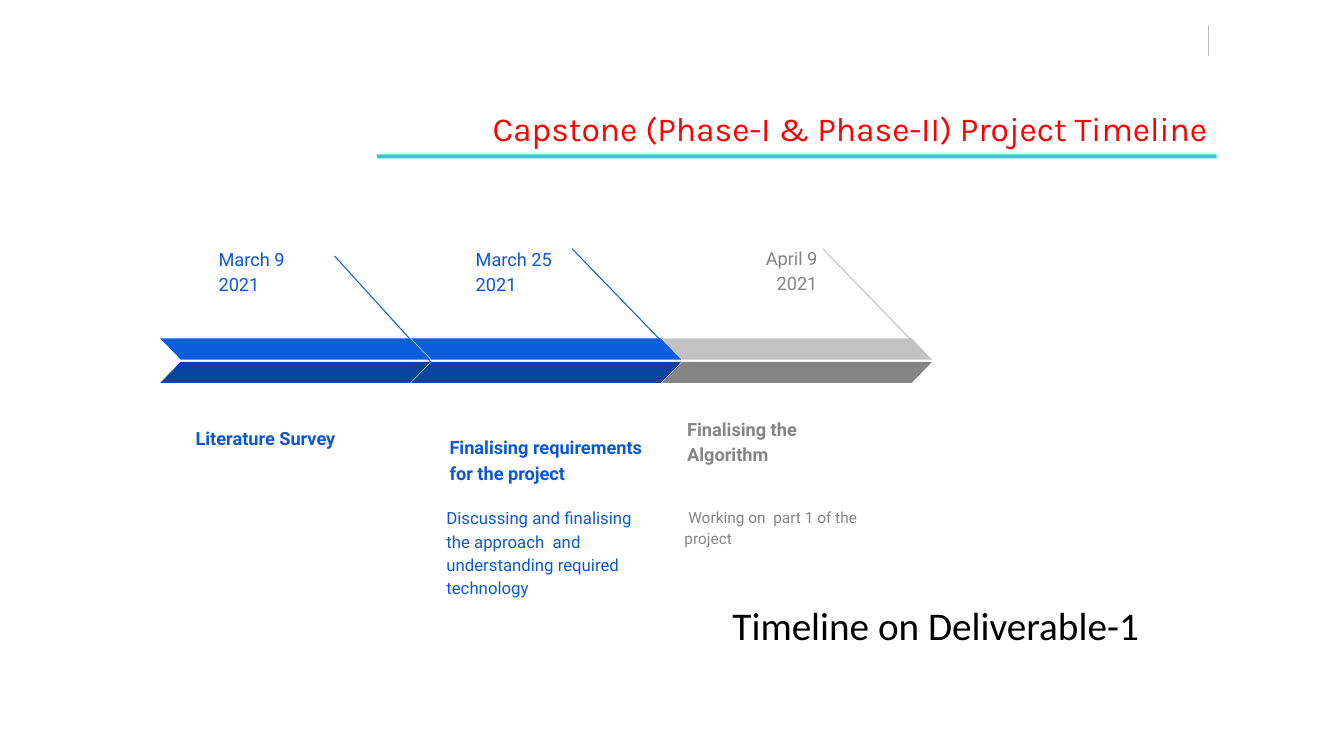
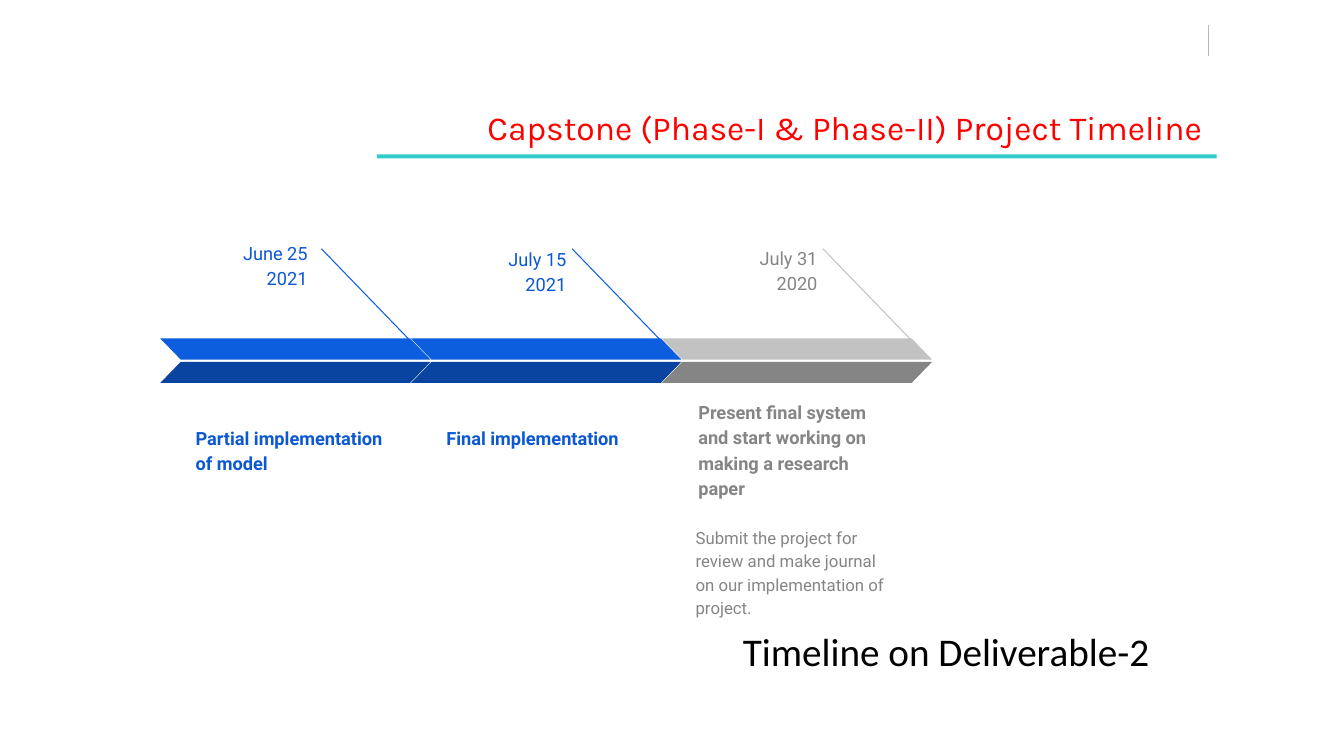
"""Build two capstone timeline slides with three milestones each."""
from dataclasses import dataclass

from pptx import Presentation
from pptx.dml.color import RGBColor
from pptx.enum.shapes import MSO_CONNECTOR as Connector, MSO_SHAPE as Shape
from pptx.enum.text import MSO_ANCHOR as Anchor, PP_ALIGN as Align
from pptx.oxml.ns import qn
from pptx.oxml.xmlchemy import OxmlElement
from pptx.util import Cm, Pt

COLORS = {
    "title": "FF0000",
    "rule": "33CCCC",
    "tick": "B7B7B7",
    "caption": "000000",
}
BLUE = {"text": "0C58D3", "upper": "0D5DDF", "lower": "0944A1"}
GREY = {"text": "858585", "upper": "C2C2C2", "lower": "858585"}
PALETTES = (BLUE, BLUE, GREY)

ARROW_LEFT, ARROW_STEP = 4.04, 6.32
ARROW_WIDTH, BAND_HEIGHT = 6.81, 0.53
UPPER_TOP, LOWER_TOP = 8.53, 9.12
HEADING_WIDTH = 5.56
DETAIL_SIZE = (5.72, 2.74)
TITLE = "Capstone (Phase-I & Phase-II) Project Timeline"


@dataclass
class Milestone:
    date: str
    date_box: tuple
    heading: str
    heading_place: tuple
    date_align: Align = Align.RIGHT
    detail: str = ""
    detail_place: tuple = (0, 0)
    detail_points: int = 12
    callout: tuple = (4.06, 6.27, 6.72, 9.02)


class Deck:
    def __init__(self):
        self.presentation = Presentation()
        self.presentation.slide_width = Cm(33.87)
        self.presentation.slide_height = Cm(19.05)
        self.slide = None

    def new_slide(self):
        layout = self.presentation.slide_layouts[6]
        self.slide = self.presentation.slides.add_slide(layout)
        self.line(30.45, 0.64, 30.45, 1.4, COLORS["tick"])

    def text(self, box, text, font, points, color, bold=False, align=Align.LEFT,
             anchor=Anchor.TOP, spacing=None, insets=(0.33, 0.33)):
        shape = self.slide.shapes.add_textbox(*map(Cm, box))
        frame = shape.text_frame
        frame.word_wrap = True
        frame.vertical_anchor = anchor
        frame.margin_left = frame.margin_right = Cm(insets[0])
        frame.margin_top = frame.margin_bottom = Cm(insets[1])
        frame.text = text
        paragraph = frame.paragraphs[0]
        paragraph.alignment = align
        paragraph.line_spacing = spacing
        run_font = paragraph.runs[0].font
        run_font.name = font
        run_font.size = Pt(points)
        run_font.bold = bold
        run_font.color.rgb = RGBColor.from_string(color)

    def label(self, box, text, points, color, **style):
        self.text(box, text, "Roboto", points, color, spacing=1.15, **style)

    def line(self, left, top, right, bottom, color):
        connector = self.slide.shapes.add_connector(
            Connector.STRAIGHT, Cm(left), Cm(top), Cm(right), Cm(bottom))
        connector.line.color.rgb = RGBColor.from_string(color)
        connector.line.width = Pt(0.75)
        connector._element.spPr.append(OxmlElement("a:effectLst"))

    def shape(self, kind, box, color):
        shape = self.slide.shapes.add_shape(kind, *map(Cm, box))
        shape.shadow.inherit = False
        shape.fill.solid()
        shape.fill.fore_color.rgb = RGBColor.from_string(color)
        shape.line.fill.background()
        return shape

    def arrow(self, left, palette):
        for top, part in ((UPPER_TOP, "upper"), (LOWER_TOP, "lower")):
            band = self.shape(Shape.PARALLELOGRAM,
                              (left, top, ARROW_WIDTH, BAND_HEIGHT), palette[part])
            band.adjustments[0] = 0.97
            if part == "upper":
                band._element.spPr.find(qn("a:xfrm")).set("flipH", "1")

    def milestone(self, index, item):
        left, palette = ARROW_LEFT + index * ARROW_STEP, PALETTES[index]
        color = palette["text"]
        self.label(item.date_box, item.date, 13, color, align=item.date_align)
        start, top, end, bottom = item.callout
        self.line(left + start, top, left + end, bottom, palette["upper"])
        self.arrow(left, palette)
        heading_left, heading_top, height = item.heading_place
        self.label((heading_left, heading_top, HEADING_WIDTH, height), item.heading,
                   13, color, bold=True, anchor=Anchor.BOTTOM)
        if item.detail:
            self.label(item.detail_place + DETAIL_SIZE, item.detail,
                       item.detail_points, color)

    def timeline(self, title_box, caption, caption_box, milestones):
        self.new_slide()
        for index, item in enumerate(milestones):
            self.milestone(index, item)
        self.text(title_box, TITLE, "Karla", 24, COLORS["title"], align=Align.RIGHT,
                  anchor=Anchor.MIDDLE, insets=(0.25, 0.13))
        self.text(caption_box, caption, "Calibri", 28, COLORS["caption"],
                  spacing=0.9, insets=(0.25, 0.13))
        self.shape(Shape.RECTANGLE, (9.5, 3.89, 21.16, 0.1), COLORS["rule"])


def main():
    deck = Deck()
    deck.timeline(
        (9.7, 2.37, 20.98, 1.7),
        "Timeline on Deliverable-1", (18.21, 15.16, 13.26, 1.93),
        [
            Milestone("March 9 2021", (5.18, 5.84, 3.25, 1.24),
                      "Literature Survey", (4.6, 9.98, 1.65),
                      date_align=Align.LEFT, callout=(4.39, 6.45, 6.88, 9.19)),
            Milestone("March 25 2021", (11.66, 5.84, 2.97, 1.65),
                      "Finalising requirements for the project", (11, 10.87, 1.65),
                      date_align=Align.LEFT,
                      detail="Discussing and finalising the approach  and "
                             "understanding required technology",
                      detail_place=(10.92, 12.4)),
            Milestone("April 9 2021", (18.62, 5.82, 2.31, 0.89),
                      "Finalising the Algorithm", (16.99, 9.32, 2.74),
                      detail=" Working on  part 1 of the project",
                      detail_place=(16.92, 12.4), detail_points=11),
        ])
    deck.timeline(
        (5.28, 2.34, 25.27, 1.7),
        "Timeline on Deliverable-2", (18.47, 15.82, 12.6, 1.5),
        [
            Milestone("June 25 2021", (5.44, 5.69, 2.64, 0.89),
                      "Partial implementation of model", (4.6, 9.98, 2.29)),
            Milestone("July 15 2021", (12.29, 5.84, 2.31, 0.89),
                      "Final implementation", (10.92, 9.98, 1.65)),
            Milestone("July 31 2020", (18.62, 5.82, 2.31, 0.89),
                      "Present final system and start working on making "
                      "a research paper", (17.27, 9.98, 2.92),
                      detail="Submit the project for review and make journal "
                             "on our implementation of project.",
                      detail_place=(17.2, 12.9)),
        ])
    deck.presentation.save("out.pptx")


if __name__ == "__main__":
    main()
